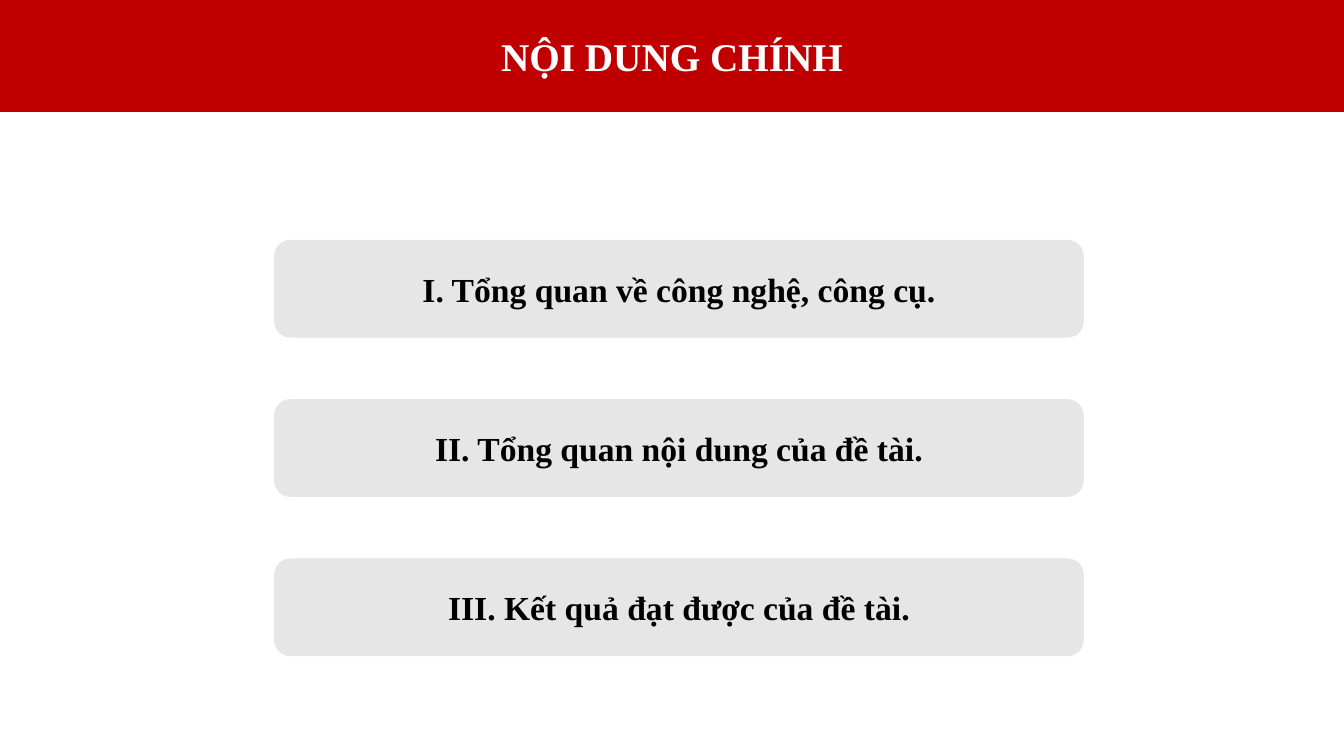
from pptx import Presentation
from pptx.dml.color import RGBColor
from pptx.enum.shapes import MSO_SHAPE
from pptx.enum.text import MSO_ANCHOR, PP_ALIGN
from pptx.util import Inches, Pt

SLIDE_WIDTH, SLIDE_HEIGHT = Inches(13.33), Inches(7.5)
COLORS = {"band": "C00000", "card": "E7E6E6", "title": "FFFFFF", "topic": "000000"}
FONT = "Times New Roman"

# Positions are percentages of the slide's width and height.
BAND_HEIGHT = 14.8
CARD_LEFT, CARD_WIDTH = 20.4, 60.24
CARD_TOP, CARD_HEIGHT, CARD_PITCH = 31.73, 12.93, 21.07

TITLE = "NỘI DUNG CHÍNH"
TOPICS = [
    "I. Tổng quan về công nghệ, công cụ.",
    "II. Tổng quan nội dung của đề tài.",
    "III. Kết quả đạt được của đề tài.",
]


def across(percent):
    return round(SLIDE_WIDTH * percent / 100)


def down(percent):
    return round(SLIDE_HEIGHT * percent / 100)


def write_text(shape, text, *, size, color, bold=True, align=PP_ALIGN.CENTER):
    frame = shape.text_frame
    frame.word_wrap = True
    frame.vertical_anchor = MSO_ANCHOR.MIDDLE
    paragraph = frame.paragraphs[0]
    paragraph.alignment = align
    run = paragraph.add_run()
    run.text = text
    run.font.name = FONT
    run.font.size = Pt(size)
    run.font.bold = bold
    run.font.color.rgb = RGBColor.from_string(COLORS[color])


def add_panel(slide, outline, left, top, width, height, fill):
    """Add a flat filled shape without a border, placed in percentages."""
    panel = slide.shapes.add_shape(
        outline, across(left), down(top), across(width), down(height)
    )
    panel.shadow.inherit = False
    panel.fill.solid()
    panel.fill.fore_color.rgb = RGBColor.from_string(COLORS[fill])
    panel.line.fill.background()
    return panel


def add_title_band(slide, title):
    band = add_panel(slide, MSO_SHAPE.RECTANGLE, 0, 0, 100, BAND_HEIGHT, "band")
    write_text(band, title, size=28, color="title")


def add_topic_card(slide, row, topic):
    top = CARD_TOP + row * CARD_PITCH
    card = add_panel(slide, MSO_SHAPE.ROUNDED_RECTANGLE,
                     CARD_LEFT, top, CARD_WIDTH, CARD_HEIGHT, "card")
    write_text(card, topic, size=24, color="topic")


def main():
    deck = Presentation()
    deck.slide_width, deck.slide_height = SLIDE_WIDTH, SLIDE_HEIGHT
    agenda = deck.slides.add_slide(deck.slide_layouts[6])
    add_title_band(agenda, TITLE)
    for row, topic in enumerate(TOPICS):
        add_topic_card(agenda, row, topic)
    deck.save("out.pptx")


if __name__ == "__main__":
    main()
